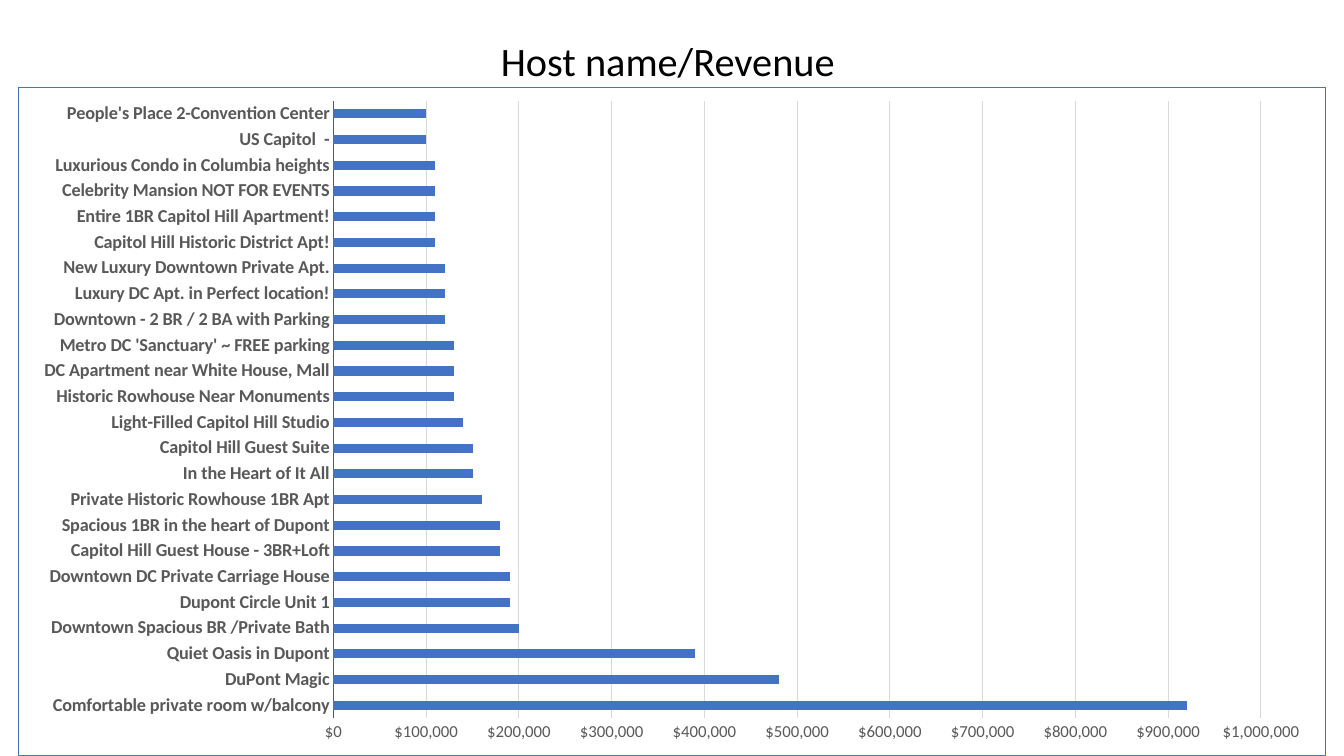
from lxml.etree import fromstring
from pptx import Presentation
from pptx.chart.data import CategoryChartData
from pptx.dml.color import RGBColor
from pptx.enum.chart import XL_CHART_TYPE as ChartType, XL_TICK_MARK as TickMark
from pptx.enum.text import MSO_ANCHOR as Anchor, PP_ALIGN as Align
from pptx.oxml.ns import nsdecls
from pptx.util import Pt

FACE = "Calibri"
BLUE, GREY = "4472C4", "595959"
CHART_WIDTH, CHART_HEIGHT = 934.4, 477.8

# Revenue in thousands of dollars, from the bottom bar upwards
revenue = [
    ("Comfortable private room w/balcony", 920),
    ("DuPont Magic", 480),
    ("Quiet Oasis in Dupont", 390),
    ("Downtown Spacious BR /Private Bath", 200),
    ("Dupont Circle Unit 1", 190),
    ("Downtown DC Private Carriage House", 190),
    ("Capitol Hill Guest House - 3BR+Loft", 180),
    ("Spacious 1BR in the heart of Dupont", 180),
    ("Private Historic Rowhouse 1BR Apt", 160),
    ("In the Heart of It All", 150),
    ("Capitol Hill Guest Suite", 150),
    ("Light-Filled Capitol Hill Studio", 140),
    ("Historic Rowhouse Near Monuments", 130),
    ("DC Apartment near White House, Mall", 130),
    ("Metro DC 'Sanctuary' ~ FREE parking", 130),
    ("Downtown - 2 BR / 2 BA with Parking", 120),
    ("Luxury DC Apt. in Perfect location!", 120),
    ("New Luxury Downtown Private Apt.", 120),
    ("Capitol Hill Historic District Apt!", 110),
    ("Entire 1BR Capitol Hill Apartment!", 110),
    ("Celebrity Mansion NOT FOR EVENTS", 110),
    ("Luxurious Condo in Columbia heights", 110),
    ("US Capitol  -", 100),
    ("People's Place 2-Convention Center", 100),
]


def rgb(value):
    return RGBColor.from_string(value)


def set_font(font, size, color, bold=False):
    font.name, font.size, font.bold = FACE, Pt(size), bold
    font.color.rgb = rgb(color)


deck = Presentation()
deck.slide_width, deck.slide_height = Pt(960), Pt(540)
slide = deck.slides.add_slide(deck.slide_layouts[6])

# Title
title = slide.shapes.add_textbox(Pt(63), Pt(28.2), Pt(828), Pt(33.8)).text_frame
title.word_wrap = True
title.vertical_anchor = Anchor.MIDDLE
heading = title.paragraphs[0]
heading.text = "Host name/Revenue"
heading.alignment = Align.CENTER
heading.line_spacing = 0.9
set_font(heading.font, 28.8, "000000")

# Bar chart
data = CategoryChartData(number_format='"$"#,##0')
data.categories = [host for host, _ in revenue]
data.add_series("Series 1", [thousands * 1000 for _, thousands in revenue])
chart = slide.shapes.add_chart(
    ChartType.BAR_CLUSTERED, Pt(13), Pt(62.2), Pt(CHART_WIDTH), Pt(CHART_HEIGHT), data).chart
chart.has_title = False
chart.has_legend = False
set_font(chart.font, 10, "000000")

plot = chart.plots[0]
plot.gap_width = 182
plot.vary_by_categories = False
bars = plot.series[0].format.fill
bars.solid()
bars.fore_color.rgb = rgb(BLUE)

hosts, dollars = chart.category_axis, chart.value_axis
for axis in (hosts, dollars):
    axis.major_tick_mark = axis.minor_tick_mark = TickMark.NONE
set_font(hosts.tick_labels.font, 13, GREY, bold=True)
hosts.format.line.color.rgb = rgb(GREY)
hosts.format.line.width = Pt(0.75)

set_font(dollars.tick_labels.font, 12, GREY)
dollars.tick_labels.number_format = '"$"#,##0'
dollars.tick_labels.number_format_is_linked = False
dollars.minimum_scale, dollars.maximum_scale = 0, 1000000
dollars.major_unit = 100000
dollars.format.line.fill.background()
dollars.has_major_gridlines = True
dollars.major_gridlines.format.line.color.rgb = rgb("D9D9D9")
dollars.major_gridlines.format.line.width = Pt(0.75)

# Inner plot area, in points, stored as fractions of the chart
plot_area = chart.element.chart.plotArea
for old_layout in plot_area.findall("{*}layout"):
    plot_area.remove(old_layout)
plot_area.insert(0, fromstring(
    f'<c:layout {nsdecls("c")}><c:manualLayout><c:layoutTarget val="inner"/>'
    '<c:xMode val="edge"/><c:yMode val="edge"/>'
    f'<c:x val="{225 / CHART_WIDTH}"/><c:y val="{9.6 / CHART_HEIGHT}"/>'
    f'<c:w val="{663 / CHART_WIDTH}"/><c:h val="{441.6 / CHART_HEIGHT}"/>'
    '</c:manualLayout></c:layout>'))

# Frame around the chart
chart.element.chart.addnext(fromstring(
    f'<c:spPr {nsdecls("c", "a")}><a:noFill/><a:ln w="{Pt(0.75)}"><a:solidFill>'
    f'<a:srgbClr val="{BLUE}"/></a:solidFill></a:ln></c:spPr>'))

deck.save("out.pptx")
